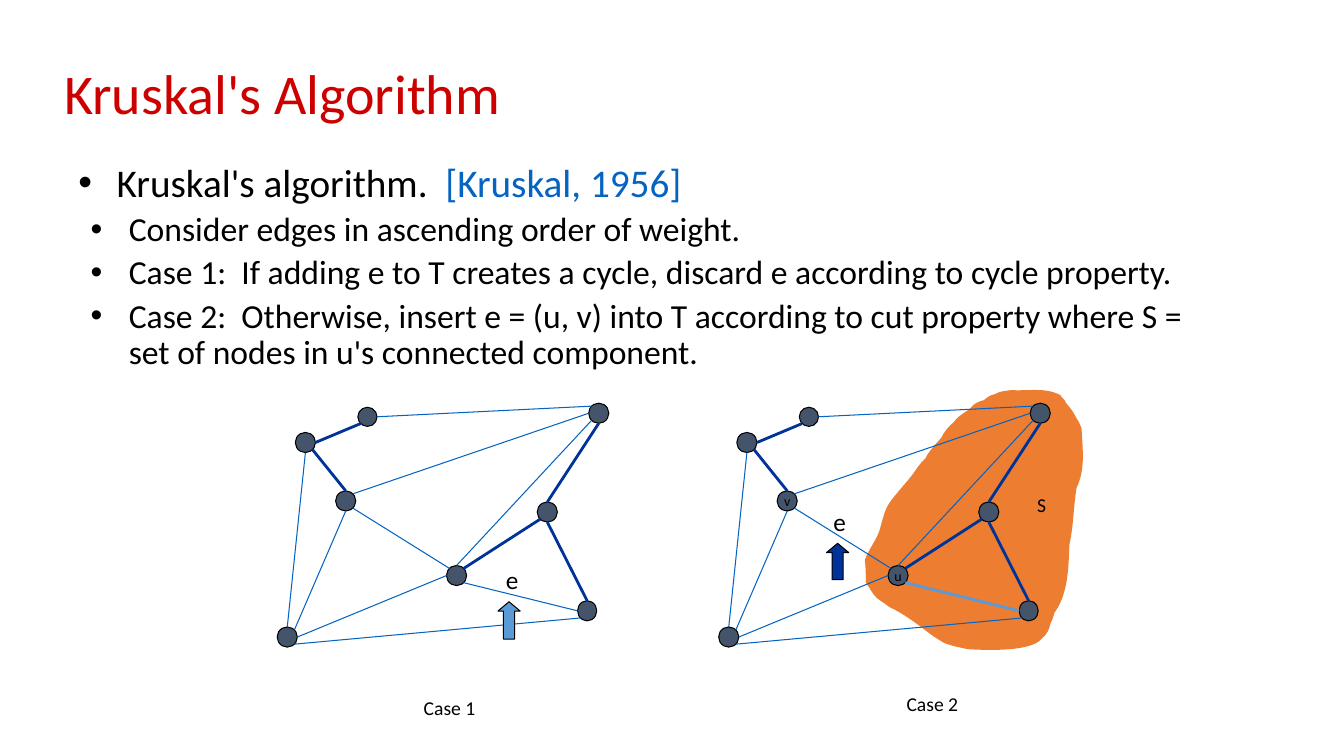
from dataclasses import dataclass
from math import sqrt

from lxml import etree
from pptx import Presentation
from pptx.dml.color import RGBColor
from pptx.enum.shapes import MSO_CONNECTOR, MSO_SHAPE
from pptx.enum.text import MSO_ANCHOR, PP_ALIGN
from pptx.oxml.ns import qn
from pptx.util import Pt

ELLIPSE, UP_ARROW = MSO_SHAPE.OVAL, MSO_SHAPE.UP_ARROW
STRAIGHT = MSO_CONNECTOR.STRAIGHT
LEFT, CENTER = PP_ALIGN.LEFT, PP_ALIGN.CENTER
TOP, MIDDLE = MSO_ANCHOR.TOP, MSO_ANCHOR.MIDDLE
PX = 9144
SLIDE_HEIGHT = 750
SLIDE_WIDTH = SLIDE_HEIGHT * 16 / 9


@dataclass(frozen=True)
class Theme:
    font: str = "Calibri"
    title: str = "CD0000"
    ink: str = "000000"
    edge: str = "0563C1"
    tree: str = "003399"
    accent: str = "5B9BD5"
    node: str = "44546A"
    region: str = "ED7D31"
    title_size: int = 40
    lead_size: int = 28
    item_size: int = 24
    edge_label_size: int = 18
    caption_size: int = 14
    node_label_size: int = 10
    thin: float = 0.75
    thick: float = 2


THEME = Theme()
TITLE = "Kruskal's Algorithm"
BULLETS = [
    (0, [("Kruskal's algorithm.  ", THEME.ink), ("[Kruskal, 1956]", THEME.edge)]),
    (1, [("Consider edges in ascending order of weight.", THEME.ink)]),
    (1, [("Case 1:  If adding e to T creates a cycle, discard e according to cycle property.", THEME.ink)]),
    (1, [("Case 2:  Otherwise, insert e = (u, v) into T according to cut property where S = "
          "set of nodes in u's connected component.", THEME.ink)]),
]
LEVELS = [(38, 10, THEME.lead_size), (50, 5, THEME.item_size)]
HANGING = 38

NODES = {
    "west": (293, 429, 20, 20), "northeast": (584, 400, 20, 20),
    "southeast": (573, 596, 19, 20), "north": (355, 404, 19, 19),
    "v": (333, 487, 20, 20), "southwest": (275, 622, 20, 20),
    "east": (533, 498, 20, 20), "u": (443, 561, 20, 20),
}
DIAGONAL = sqrt(0.5)
SITES = {
    "top": (0, -1), "bottom": (0, 1), "left": (-1, 0), "right": (1, 0),
    "top left": (-DIAGONAL, -DIAGONAL), "top right": (DIAGONAL, -DIAGONAL),
    "bottom left": (-DIAGONAL, DIAGONAL), "bottom right": (DIAGONAL, DIAGONAL),
}
TREE_EDGES = [
    ("west", "right", "north", "bottom left"),
    ("west", "bottom right", "v", "top"),
    ("east", "top", "northeast", "bottom"),
    ("u", "top right", "east", "bottom left"),
    ("east", "bottom", "southeast", "top"),
]
OTHER_EDGES = [
    ("west", "bottom", "southwest", "top"),
    ("v", "top right", "northeast", "left"),
    ("v", "bottom right", "u", "top left"),
    ("northeast", "bottom left", "u", "top"),
    ("v", "bottom", "southwest", "top right"),
    ("southwest", "right", "u", "left"),
    ("north", "right", "northeast", "top left"),
    ("southwest", "bottom right", "southeast", "bottom left"),
]
CYCLE_EDGE = ("u", "bottom right", "southeast", "left")

CASES = [
    {"offset": 0, "cycle_edge": (THEME.edge, THEME.thin), "node_labels": (),
     "arrow": (494, 597, 22, 37), "arrow_color": THEME.accent,
     "caption": ("Case 1", (355, 684, 182, 36)), "edge_label": (492, 555, 33, 40)},
    {"offset": 438, "cycle_edge": (THEME.accent, THEME.thick), "node_labels": ("u", "v"),
     "arrow": (820, 539, 22, 36), "arrow_color": THEME.tree,
     "caption": ("Case 2", (834, 680, 182, 36)), "edge_label": (817, 497, 33, 40)},
]

REGION_START = (872, 528)
REGION_CURVES = [
    (875, 519, 877, 506, 883, 498), (889, 490, 896, 482, 902, 475),
    (908, 468, 911, 461, 918, 455), (921, 448, 929, 440, 934, 434),
    (936, 429, 942, 422, 946, 419), (949, 414, 957, 409, 962, 406),
    (965, 401, 971, 398, 976, 397), (980, 394, 982, 392, 987, 391),
    (992, 388, 997, 388, 1003, 387), (1021, 388, 1037, 384, 1052, 392),
    (1058, 402, 1049, 388, 1056, 397), (1057, 397, 1057, 398, 1057, 399),
    (1061, 404, 1064, 407, 1067, 413), (1068, 415, 1069, 417, 1070, 418),
    (1071, 420, 1073, 425, 1073, 425), (1074, 446, 1077, 465, 1068, 484),
    (1065, 502, 1065, 522, 1061, 540), (1060, 562, 1060, 589, 1046, 608),
    (1045, 612, 1044, 615, 1042, 619), (1041, 624, 1039, 629, 1034, 633),
    (1023, 649, 963, 644, 960, 644), (951, 642, 945, 641, 937, 638),
    (932, 635, 927, 632, 923, 629), (910, 619, 897, 609, 882, 602),
    (878, 598, 870, 595, 867, 590), (864, 586, 862, 582, 859, 578),
    (859, 571, 859, 564, 858, 556), (860, 548, 868, 538, 872, 528),
]


def emu(*lengths):
    return [round(length * PX) for length in lengths]


def color(value):
    return RGBColor.from_string(value)


def style_font(font, size, value=THEME.ink):
    font.name, font.size = THEME.font, Pt(size)
    font.color.rgb = color(value)


def write(shape, text, size, value=THEME.ink, align=LEFT, anchor=TOP, wrap=False):
    frame = shape.text_frame
    frame.word_wrap, frame.vertical_anchor = wrap, anchor
    paragraph = frame.paragraphs[0]
    paragraph.text, paragraph.alignment = text, align
    style_font(paragraph.font, size, value)
    return paragraph


def add_text(slide, box, *args, **options):
    return write(slide.shapes.add_textbox(*emu(*box)), *args, **options)


def add_filled(slide, preset, box, fill):
    shape = slide.shapes.add_shape(preset, *emu(*box))
    shape.shadow.inherit = False
    shape.fill.solid()
    shape.fill.fore_color.rgb = color(fill)
    shape.line.color.rgb = color(THEME.ink)
    shape.line.width = Pt(THEME.thin)
    return shape


def add_bullets(slide):
    frame = slide.shapes.add_textbox(*emu(68, 157, 1150, 476)).text_frame
    frame.word_wrap = True
    for index, (level, runs) in enumerate(BULLETS):
        paragraph = frame.add_paragraph() if index else frame.paragraphs[0]
        indent, space, size = LEVELS[level]
        paragraph.level, paragraph.line_spacing = level, 0.9
        if index:
            paragraph.space_before = Pt(space)
        properties = paragraph._p.get_or_add_pPr()
        properties.set("marL", str(indent * PX))
        properties.set("indent", str(-HANGING * PX))
        etree.SubElement(properties, qn("a:buFont"), typeface="Arial")
        etree.SubElement(properties, qn("a:buChar"), char="•")
        style_font(paragraph.font, size, runs[0][1])
        for text, value in runs:
            run = paragraph.add_run()
            run.text = text
            if value != runs[0][1]:
                run.font.color.rgb = color(value)


def add_region(slide):
    points = [emu(*curve[i:i + 2]) for curve in REGION_CURVES for i in (0, 2, 4)]
    builder = slide.shapes.build_freeform(*emu(*REGION_START))
    builder.add_line_segments(points, close=True)
    region = builder.convert_to_shape()
    segments = list(region._element.iter(qn("a:lnTo")))
    for index in range(0, len(points), 3):
        first, *others = segments[index:index + 3]
        first.tag = qn("a:cubicBezTo")
        for segment in others:
            first.append(segment[0])
            segment.getparent().remove(segment)
    region.shadow.inherit = False
    region.fill.solid()
    region.fill.fore_color.rgb = color(THEME.region)
    region.line.fill.background()


def site_point(node, site, offset):
    left, top, width, height = NODES[node]
    across, down = SITES[site]
    return emu(left + offset + width / 2 * (1 + across), top + height / 2 * (1 + down))


def add_edge(slide, edge, offset, value, width):
    begin, end = site_point(*edge[:2], offset), site_point(*edge[2:], offset)
    connector = slide.shapes.add_connector(STRAIGHT, *begin, *end)
    connector.line.color.rgb = color(value)
    connector.line.width = Pt(width)
    etree.SubElement(connector._element.spPr, qn("a:effectLst"))


def add_case(slide, case):
    offset = case["offset"]
    for name, (left, top, width, height) in NODES.items():
        node = add_filled(slide, ELLIPSE, (left + offset, top, width, height), THEME.node)
        if name in case["node_labels"]:
            write(node, name, THEME.node_label_size, align=CENTER, anchor=MIDDLE)
    for edge in OTHER_EDGES:
        add_edge(slide, edge, offset, THEME.edge, THEME.thin)
    for edge in TREE_EDGES:
        add_edge(slide, edge, offset, THEME.tree, THEME.thick)
    add_edge(slide, CYCLE_EDGE, offset, *case["cycle_edge"])
    arrow = add_filled(slide, UP_ARROW, case["arrow"], case["arrow_color"])
    arrow.adjustments[1] = 0.42
    caption, box = case["caption"]
    add_text(slide, box, caption, THEME.caption_size, align=CENTER, anchor=MIDDLE)
    add_text(slide, case["edge_label"], "e", THEME.edge_label_size)


def main():
    presentation = Presentation()
    presentation.slide_width, presentation.slide_height = emu(SLIDE_WIDTH, SLIDE_HEIGHT)
    slide = presentation.slides.add_slide(presentation.slide_layouts[6])
    title = add_text(slide, (54, 23, 1150, 145), TITLE, THEME.title_size, THEME.title,
                     anchor=MIDDLE, wrap=True)
    title.line_spacing = 0.9
    add_bullets(slide)
    add_region(slide)
    for case in CASES:
        add_case(slide, case)
    add_text(slide, (1019, 484, 29, 34), "S", THEME.caption_size)
    presentation.save("out.pptx")


if __name__ == "__main__":
    main()
